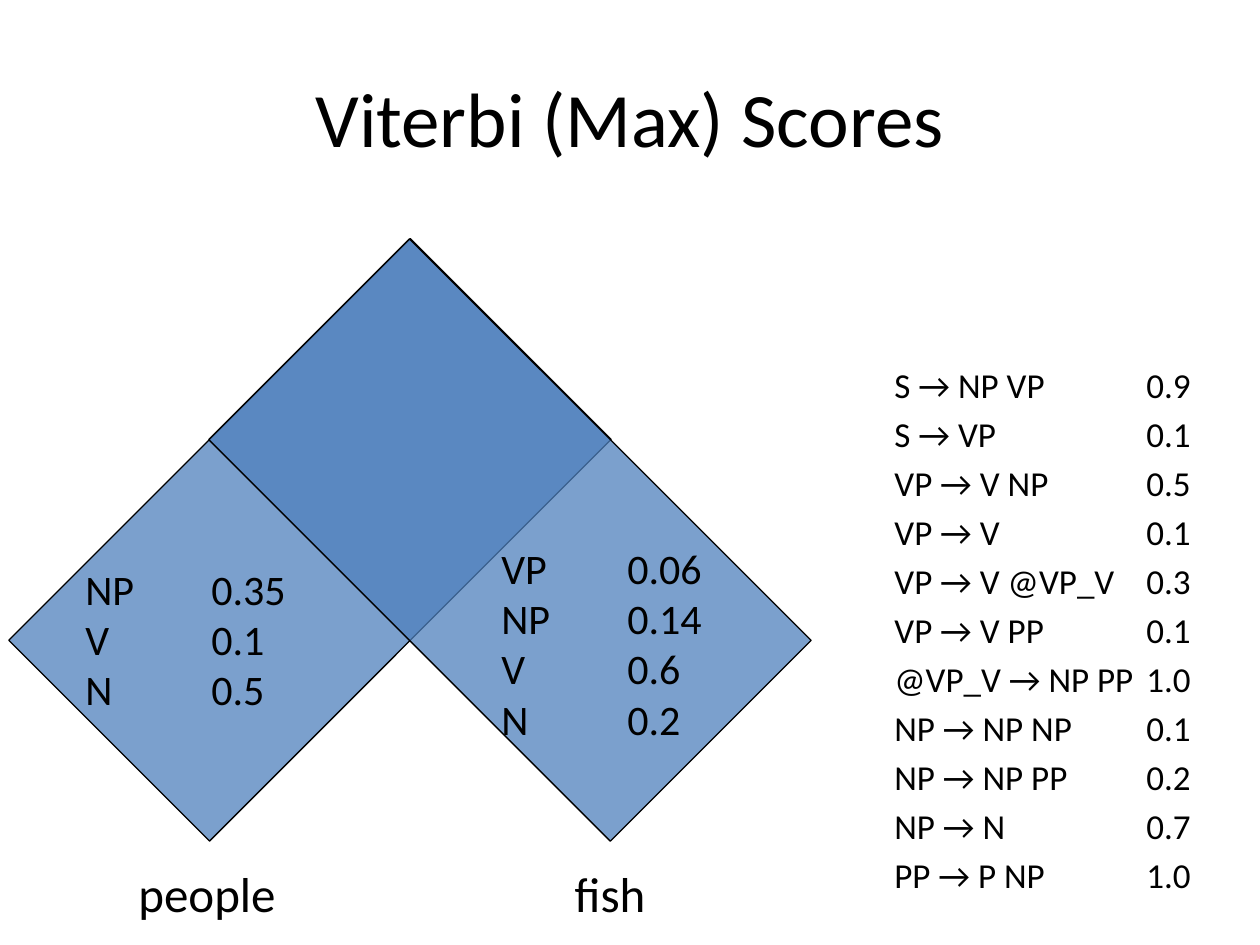
import pptx
import pptx.dml.color
import pptx.enum.shapes
import pptx.enum.text
import pptx.oxml.ns
import pptx.util
from lxml import etree

EMU_PER_PX = 914400 / 126
THEME = {
    "font": "Calibri",
    "text": "000000",
    "cell": "4F81BD",
    "cell_alpha": 75,
    "outline": "000000",
    "outline_width": 0.75,
    "title_size": 44,
    "word_size": 28,
    "score_size": 24,
    "rule_size": 20,
}
ALIGN = pptx.enum.text.PP_ALIGN
ANCHOR = pptx.enum.text.MSO_ANCHOR

STRIP_CENTRES = [(310, 540, 45), (510, 540, 315)]
STRIP_WIDTH = 284
WORDS = [("people", 207), ("fish", 610)]
PEOPLE_SCORES = [("NP", "0.35"), ("V", "0.1"), ("N", "0.5")]
FISH_SCORES = [("VP", "0.06"), ("NP", "0.14"), ("V", "0.6"), ("N", "0.2")]
GRAMMAR = [
    ("S → NP VP", "0.9"),
    ("S → VP", "0.1"),
    ("VP → V NP", "0.5"),
    ("VP → V", "0.1"),
    ("VP → V @VP_V", "0.3"),
    ("VP → V PP", "0.1"),
    ("@VP_V → NP PP", "1.0"),
    ("NP → NP NP", "0.1"),
    ("NP → NP PP", "0.2"),
    ("NP → N", "0.7"),
    ("PP → P NP", "1.0"),
]


def px(length):
    return pptx.util.Emu(round(length * EMU_PER_PX))


def rgb(name):
    return pptx.dml.color.RGBColor.from_string(THEME[name])


def set_attributes(target, values):
    for name, value in values.items():
        setattr(target, name, value)


def add_child(parent, tag, **attributes):
    return etree.SubElement(parent, pptx.oxml.ns.qn(tag), attributes)


def write_line(paragraph, text, size, align=ALIGN.LEFT, space_before=0):
    set_attributes(paragraph, {"alignment": align, "space_before": pptx.util.Pt(space_before)})
    run = paragraph.add_run()
    run.text = text
    set_attributes(run.font, {"name": THEME["font"], "size": pptx.util.Pt(THEME[size])})
    run.font.color.rgb = rgb("text")


def add_title(slide, text):
    title = slide.shapes.title
    set_attributes(title, {"left": px(63), "top": px(38), "width": px(1134), "height": px(158)})
    title.text_frame.vertical_anchor = ANCHOR.MIDDLE
    write_line(title.text_frame.paragraphs[0], text, "title_size", ALIGN.CENTER)


def add_chart_strip(slide, centre_x, centre_y, rotation):
    """Add a slanted strip, two cells long; the cell that both strips cover looks darker."""
    width, height = STRIP_WIDTH, 2 * STRIP_WIDTH
    strip = slide.shapes.add_shape(
        pptx.enum.shapes.MSO_SHAPE.RECTANGLE,
        px(centre_x - width / 2), px(centre_y - height / 2), px(width), px(height),
    )
    strip.rotation = rotation
    strip.shadow.inherit = False
    strip.fill.solid()
    strip.fill.fore_color.rgb = rgb("cell")
    colour = strip.fill._xPr.find(".//" + pptx.oxml.ns.qn("a:srgbClr"))
    add_child(colour, "a:alpha", val=str(THEME["cell_alpha"] * 1000))
    strip.line.color.rgb = rgb("outline")
    strip.line.width = pptx.util.Pt(THEME["outline_width"])


def add_text_box(slide, left, top, width, height):
    frame = slide.shapes.add_textbox(px(left), px(top), px(width), px(height)).text_frame
    set_attributes(frame, {"word_wrap": True, "vertical_anchor": ANCHOR.TOP})
    return frame


def add_word(slide, word, centre_x):
    width = 180
    frame = add_text_box(slide, centre_x - width / 2, 857, width, 72)
    write_line(frame.paragraphs[0], word, "word_size", ALIGN.CENTER)


def add_scores(slide, rows, box, size, tab, space_before=0):
    """List each label with its score, the scores lined up at one tab stop."""
    frame = add_text_box(slide, *box)
    for index, row in enumerate(rows):
        paragraph = frame.add_paragraph() if index else frame.paragraphs[0]
        write_line(paragraph, "\t".join(row), size, space_before=space_before)
        tabs = add_child(paragraph._p.get_or_add_pPr(), "a:tabLst")
        add_child(tabs, "a:tab", pos=str(px(tab)), algn="l")


def main():
    presentation = pptx.Presentation()
    set_attributes(presentation, {"slide_width": px(1260), "slide_height": px(945)})
    slide = presentation.slides.add_slide(presentation.slide_layouts.get_by_name("Title Only"))
    add_title(slide, "Viterbi (Max) Scores")
    for centre_x, centre_y, rotation in STRIP_CENTRES:
        add_chart_strip(slide, centre_x, centre_y, rotation)
    for word, centre_x in WORDS:
        add_word(slide, word, centre_x)
    add_scores(slide, PEOPLE_SCORES, (73, 557, 228, 165), "score_size", tab=126)
    add_scores(slide, FISH_SCORES, (489, 536, 228, 217), "score_size", tab=126)
    add_scores(slide, GRAMMAR, (882, 357, 336, 567), "rule_size", tab=252, space_before=4)
    presentation.save("out.pptx")


if __name__ == "__main__":
    main()
